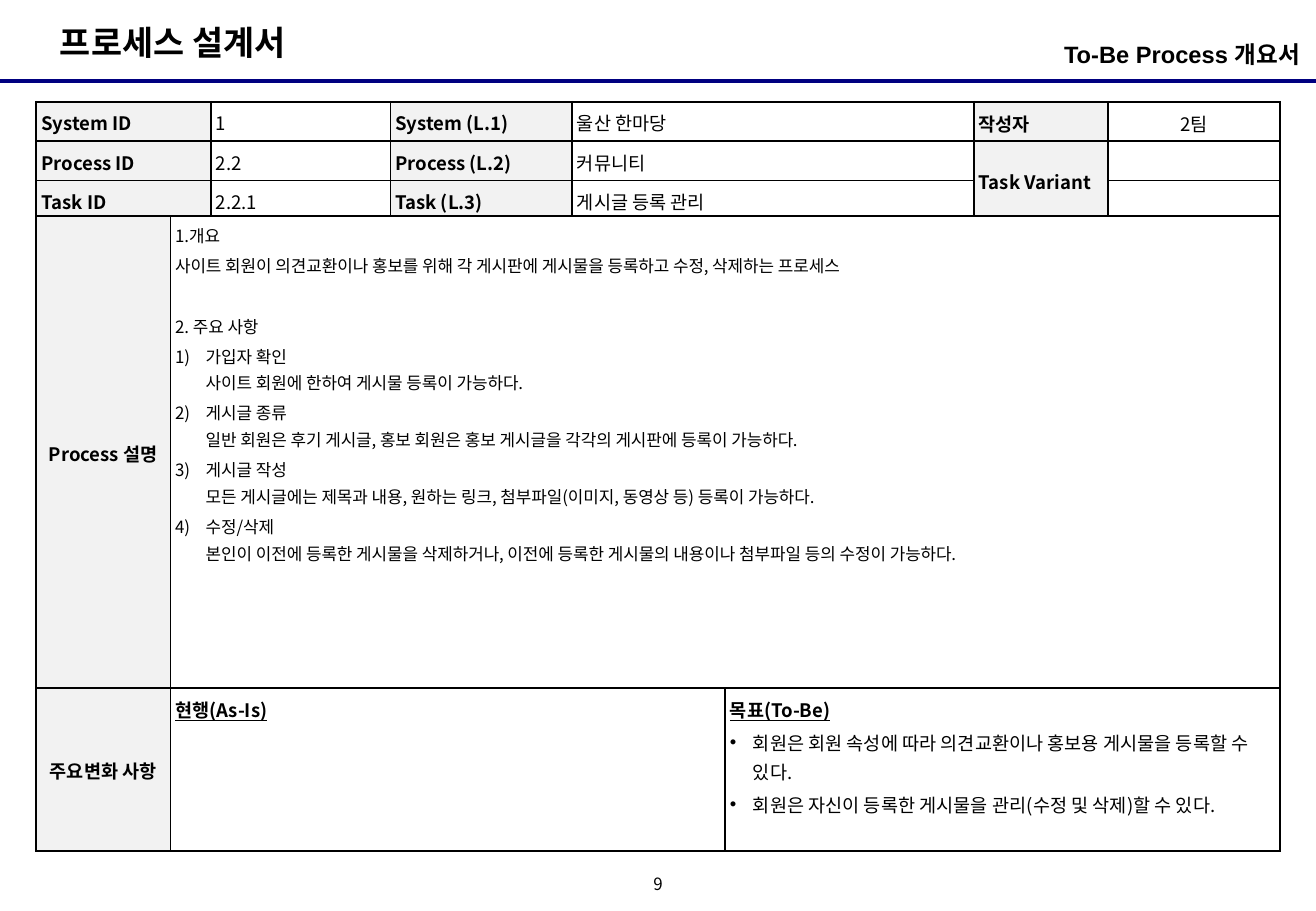
from itertools import product
from lxml import etree
from pptx import Presentation
from pptx import util as u
from pptx.dml.color import RGBColor
from pptx.enum import shapes, text
from pptx.oxml.ns import qn

FONT = "Noto Sans CJK KR"
LEFT, CENTER, RIGHT = text.PP_ALIGN.LEFT, text.PP_ALIGN.CENTER, text.PP_ALIGN.RIGHT
TOP, MIDDLE = text.MSO_ANCHOR.TOP, text.MSO_ANCHOR.MIDDLE


def tint(code):
    return RGBColor.from_string(code)


def put(target, values):
    for name, value in values.items():
        setattr(target, name, value)


def sub(parent, tag, **attrs):
    return etree.SubElement(parent, qn("a:" + tag), attrs)


class Sheet:
    """Holds the style and the current slide, and draws each kind of element."""

    ink, shade, paper, navy = "000000", "F2F2F2", "FFFFFF", "000080"
    thick, thin = 1.5, 1

    def __init__(self, deck):
        self.slide = deck.slides.add_slide(deck.slide_layouts[5])

    def para(self, par, words, size=11, bold=False, line=False, font=FONT, mark=None,
             indent=0, form=None):
        par.text = words
        put(par, form or {})
        for run in par.runs:
            put(run.font, dict(name=font, size=u.Pt(size), bold=bold, underline=line))
            run.font.color.rgb = tint(self.ink)
            sub(run.font._element, "ea", typeface=FONT)
        for brk in par._p.findall(qn("a:br")):
            sub(brk, "rPr", sz=str(size * 100))
        if not words:
            sub(par._p, "endParaRPr", sz=str(size * 100))
        if mark:
            props = par._p.get_or_add_pPr()
            props.set("marL", str(u.Cm(indent)))
            props.set("indent", str(-u.Cm(indent)))
            if mark == "1)":
                sub(props, "buFont", typeface="+mj-lt")
                sub(props, "buAutoNum", type="arabicParenR")
            else:
                sub(props, "buFont", typeface="Arial")
                sub(props, "buChar", char=mark)

    def label(self, words, box, shape=None, frame=None, **style):
        shape = shape or self.slide.shapes.add_textbox(0, 0, 0, 0)
        put(shape, dict(zip(("left", "top", "width", "height"), map(u.Cm, box))))
        put(shape.text_frame, dict(auto_size=text.MSO_AUTO_SIZE.NONE, **(frame or {})))
        self.para(shape.text_frame.paragraphs[0], words, **style)

    def title(self, words, box, **style):
        self.label(words, box, shape=self.slide.shapes.title, **style)

    def rule(self, y, end, width):
        line = self.slide.shapes.add_connector(
            shapes.MSO_CONNECTOR.STRAIGHT, 0, u.Cm(y), end, u.Cm(y))
        put(line.line, dict(width=u.Pt(width)))
        line.line.color.rgb = tint(self.navy)
        sub(line._element.spPr, "effectLst")

    def edge(self, cell, side, width):
        line = sub(cell._tc.get_or_add_tcPr(), "ln" + side, w=str(u.Pt(width)))
        sub(sub(line, "solidFill"), "srgbClr", val=self.ink)

    def table(self, left, top, cols, rows, merge):
        frame = self.slide.shapes.add_table(
            len(rows), len(cols), u.Cm(left), u.Cm(top), u.Cm(sum(cols)), u.Cm(sum(rows)))
        grid = frame.table
        put(grid, dict(first_row=False, horz_banding=False))
        for col, width in zip(grid.columns, cols):
            col.width = u.Cm(width)
        for row, height in zip(grid.rows, rows):
            row.height = u.Cm(height)
        grid.cell(*merge[0]).merge(grid.cell(*merge[1]))
        for r, c in product(range(len(rows)), range(len(cols))):
            cell = grid.cell(r, c)
            if cell.is_spanned:
                continue
            outer = dict(L=c == 0, R=c + cell.span_width == len(cols),
                         T=r == 0, B=r + cell.span_height == len(rows))
            for side, hit in outer.items():
                self.edge(cell, side, self.thick if hit else self.thin)
        return grid

    def cell(self, cell, items, head=False, anchor=TOP, align=LEFT):
        pads = ("margin_left", "margin_right", "margin_top", "margin_bottom")
        put(cell, dict.fromkeys(pads, u.Cm(0.1)))
        cell.vertical_anchor = anchor
        cell.fill.solid()
        cell.fill.fore_color.rgb = tint(self.shade if head else self.paper)
        for i, (words, style) in enumerate(items):
            body = cell.text_frame
            par = body.add_paragraph() if i else body.paragraphs[0]
            gap = style.get("gap", 1)
            form = dict(alignment=align, line_spacing=1.1, space_before=u.Pt(gap),
                        space_after=u.Pt(1))
            rest = {k: v for k, v in style.items() if k != "gap"}
            self.para(par, words, **{"bold": head, "form": form, **rest})


deck = Presentation()
put(deck, dict(slide_width=u.Cm(27.51), slide_height=u.Cm(19.05)))
page = Sheet(deck)

page.rule(1.7, deck.slide_width, 2.25)
page.title("프로세스 설계서", (1, 0.33, 5.75, 1.12), size=20, bold=True,
           frame=dict(word_wrap=False, vertical_anchor=TOP), form=dict(alignment=LEFT))
page.label("To-Be Process 개요서", (18.77, 0.71, 8.41, 1), size=14, bold=True, font="Arial",
           frame=dict(word_wrap=True, margin_left=0, margin_right=0),
           form=dict(alignment=RIGHT, space_before=u.Pt(3)))
page.label("9", (13.33, 18.2, 0.85, 0.64), size=10,
           frame=dict(word_wrap=False, vertical_anchor=MIDDLE, margin_left=0, margin_right=0,
                      margin_top=0, margin_bottom=0),
           form=dict(alignment=CENTER, line_spacing=0.8))

facts = [
    ["System ID", "1", "System (L.1)", "울산 한마당", "작성자", "2팀"],
    ["Process ID", "2.2", "Process (L.2)", "커뮤니티", "Task Variant", ""],
    ["Task ID", "2.2.1", "Task (L.3)", "게시글 등록 관리", None, ""],
]
grid = page.table(0.76, 2.13, [3.65, 3.75, 3.8, 8.4, 2.8, 3.6], [0.79] * 3, ((1, 4), (2, 4)))
for r, row in enumerate(facts):
    for c, words in enumerate(row):
        if words is not None:
            page.cell(grid.cell(r, c), [(words, {})], head=c % 2 == 0,
                      anchor=MIDDLE if c > 3 else TOP, align=CENTER if c == 5 else LEFT)

small = dict(size=10)
step = dict(size=10, mark="1)", indent=0.64)
point = dict(mark="•", indent=0.48)
head = dict(bold=True, line=True)
steps = [
    "가입자 확인\v사이트 회원에 한하여 게시물 등록이 가능하다.",
    "게시글 종류\v일반 회원은 후기 게시글, 홍보 회원은 홍보 게시글을 각각의 게시판에 등록이 가능하다.",
    "게시글 작성\v모든 게시글에는 제목과 내용, 원하는 링크, 첨부파일(이미지, 동영상 등) 등록이 가능하다.",
    "수정/삭제\v본인이 이전에 등록한 게시물을 삭제하거나, 이전에 등록한 게시물의 내용이나 "
    "첨부파일 등의 수정이 가능하다.",
]
about = [
    ("1.개요", small),
    ("사이트 회원이 의견교환이나 홍보를 위해 각 게시판에 게시물을 등록하고 수정, 삭제하는 프로세스",
     small),
    ("2. 주요 사항", dict(size=10, gap=19)),
] + [(words, step) for words in steps]
goals = [
    ("목표(To-Be)", head),
    ("회원은 회원 속성에 따라 의견교환이나 홍보용 게시물을 등록할 수 있다.", point),
    ("회원은 자신이 등록한 게시물을 관리(수정 및 삭제)할 수 있다.", point),
]
grid = page.table(0.76, 4.52, [2.8, 11.6, 11.6], [9.87, 3.4], ((0, 1), (0, 2)))
for r, words in enumerate(["Process 설명", "주요변화 사항"]):
    page.cell(grid.cell(r, 0), [(words, {})], head=True, anchor=MIDDLE, align=CENTER)
page.cell(grid.cell(0, 1), about)
page.cell(grid.cell(1, 1), [("현행(As-Is)", head)])
page.cell(grid.cell(1, 2), goals)

deck.save("out.pptx")
